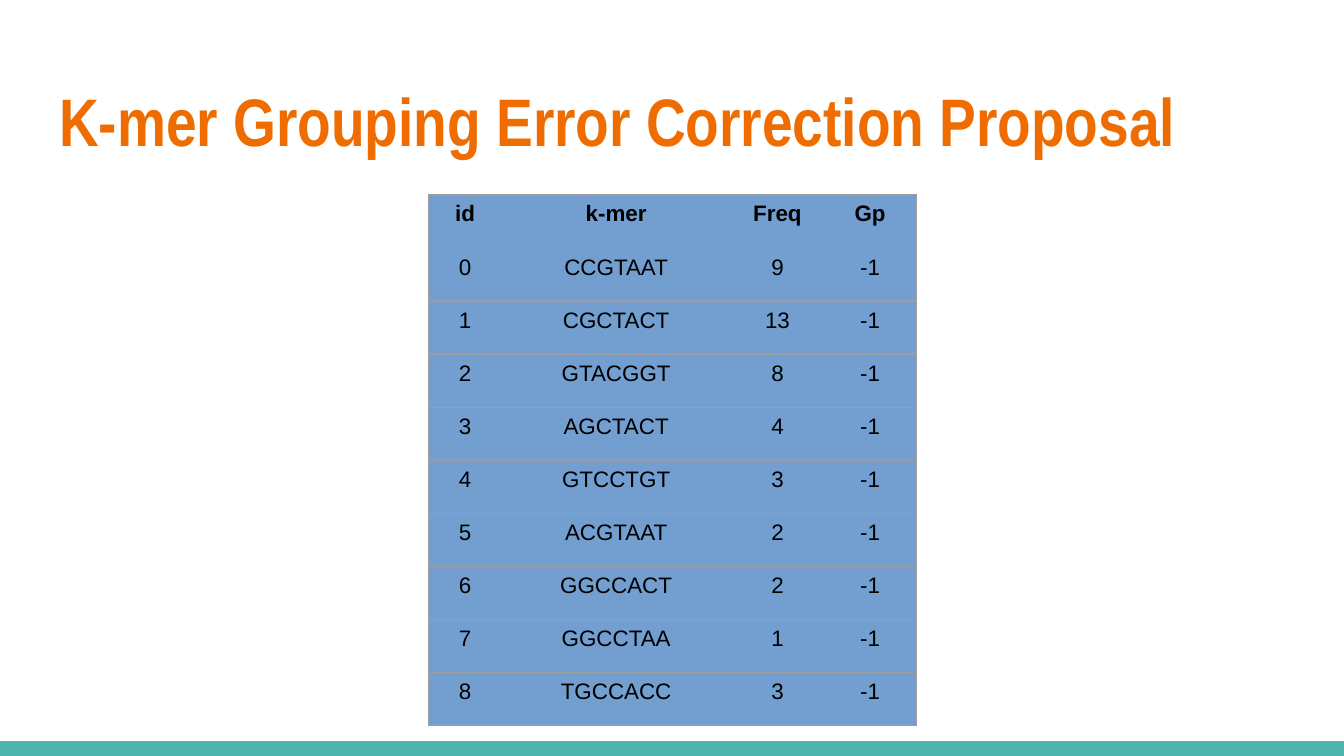
import pptx
import pptx.util
import pptx.dml.color
import pptx.enum.shapes
import pptx.enum.text
import pptx.oxml.ns
import lxml.etree

Inches = pptx.util.Inches
ORANGE = pptx.dml.color.RGBColor(0xEF, 0x6C, 0x00)
TEAL = pptx.dml.color.RGBColor(0x4D, 0xB6, 0xAC)
BLUE = pptx.dml.color.RGBColor(0x72, 0x9F, 0xCF)
GREY = pptx.dml.color.RGBColor(0x9E, 0x9E, 0x9E)
BLACK = pptx.dml.color.RGBColor(0x00, 0x00, 0x00)


def add_run(paragraph, text, font_name, size, color, bold):
    run = paragraph.add_run()
    run.text = text
    run.font.name = font_name
    run.font.size = pptx.util.Pt(size)
    run.font.color.rgb = color
    run.font.bold = bold


def add_border(cell, side, visible):
    qn = pptx.oxml.ns.qn
    properties = cell._tc.get_or_add_tcPr()
    line = lxml.etree.SubElement(properties, qn(f"a:ln{side}"), w=str(pptx.util.Pt(0.75)))
    fill = lxml.etree.SubElement(line, qn("a:solidFill"))
    color = lxml.etree.SubElement(fill, qn("a:srgbClr"), val=str(GREY))
    if not visible:
        lxml.etree.SubElement(color, qn("a:alpha"), val="0")


presentation = pptx.Presentation()
presentation.slide_width = Inches(10)
presentation.slide_height = Inches(10 * 9 / 16)
slide = presentation.slides.add_slide(presentation.slide_layouts[5])

bar_height = Inches(0.11)
footer_bar = slide.shapes.add_shape(
    pptx.enum.shapes.MSO_SHAPE.RECTANGLE,
    0, presentation.slide_height - bar_height, presentation.slide_width, bar_height
)
footer_bar.shadow.inherit = False
footer_bar.fill.solid()
footer_bar.fill.fore_color.rgb = TEAL
footer_bar.line.fill.background()

title = slide.shapes.title
title.left, title.top = Inches(0.34), Inches(0.49)
title.width, title.height = Inches(9.32), Inches(0.77)
title_frame = title.text_frame
title_frame.word_wrap = True
title_frame.auto_size = pptx.enum.text.MSO_AUTO_SIZE.NONE
title_frame.vertical_anchor = pptx.enum.text.MSO_ANCHOR.TOP
title_frame.margin_left = title_frame.margin_right = Inches(0.1)
title_frame.margin_top = title_frame.margin_bottom = Inches(0.1)
title_paragraph = title_frame.paragraphs[0]
title_paragraph.alignment = pptx.enum.text.PP_ALIGN.LEFT
add_run(title_paragraph, "K-mer Grouping Error Correction Proposal",
        "Arial Narrow", 36, ORANGE, True)

kmer_frequencies = [
    ("CCGTAAT", 9), ("CGCTACT", 13), ("GTACGGT", 8),
    ("AGCTACT", 4), ("GTCCTGT", 3), ("ACGTAAT", 2),
    ("GGCCACT", 2), ("GGCCTAA", 1), ("TGCCACC", 3),
]
rows = [("id", "k-mer", "Freq", "Gp")]
for kmer_id, (kmer, frequency) in enumerate(kmer_frequencies):
    rows.append((kmer_id, kmer, frequency, -1))
column_widths = [0.54, 1.71, 0.69, 0.69]
last_column = len(column_widths) - 1

table = slide.shapes.add_table(
    len(rows), len(column_widths),
    Inches(3.19), Inches(1.45), Inches(sum(column_widths)), Inches(3.95)
).table
table.first_row = False
table.horz_banding = False
for column, width in zip(table.columns, column_widths):
    column.width = Inches(width)

for row_index, values in enumerate(rows):
    for column_index, value in enumerate(values):
        cell = table.cell(row_index, column_index)
        cell.margin_left = cell.margin_right = Inches(0.1)
        cell.margin_top = cell.margin_bottom = Inches(0.05)
        add_border(cell, "L", column_index == 0)
        add_border(cell, "R", column_index == last_column)
        add_border(cell, "T", row_index != 1)
        add_border(cell, "B", row_index != 0)
        cell.fill.solid()
        cell.fill.fore_color.rgb = BLUE
        paragraph = cell.text_frame.paragraphs[0]
        paragraph.alignment = pptx.enum.text.PP_ALIGN.CENTER
        add_run(paragraph, str(value), "Arial", 12, BLACK, row_index == 0)

presentation.save("out.pptx")
